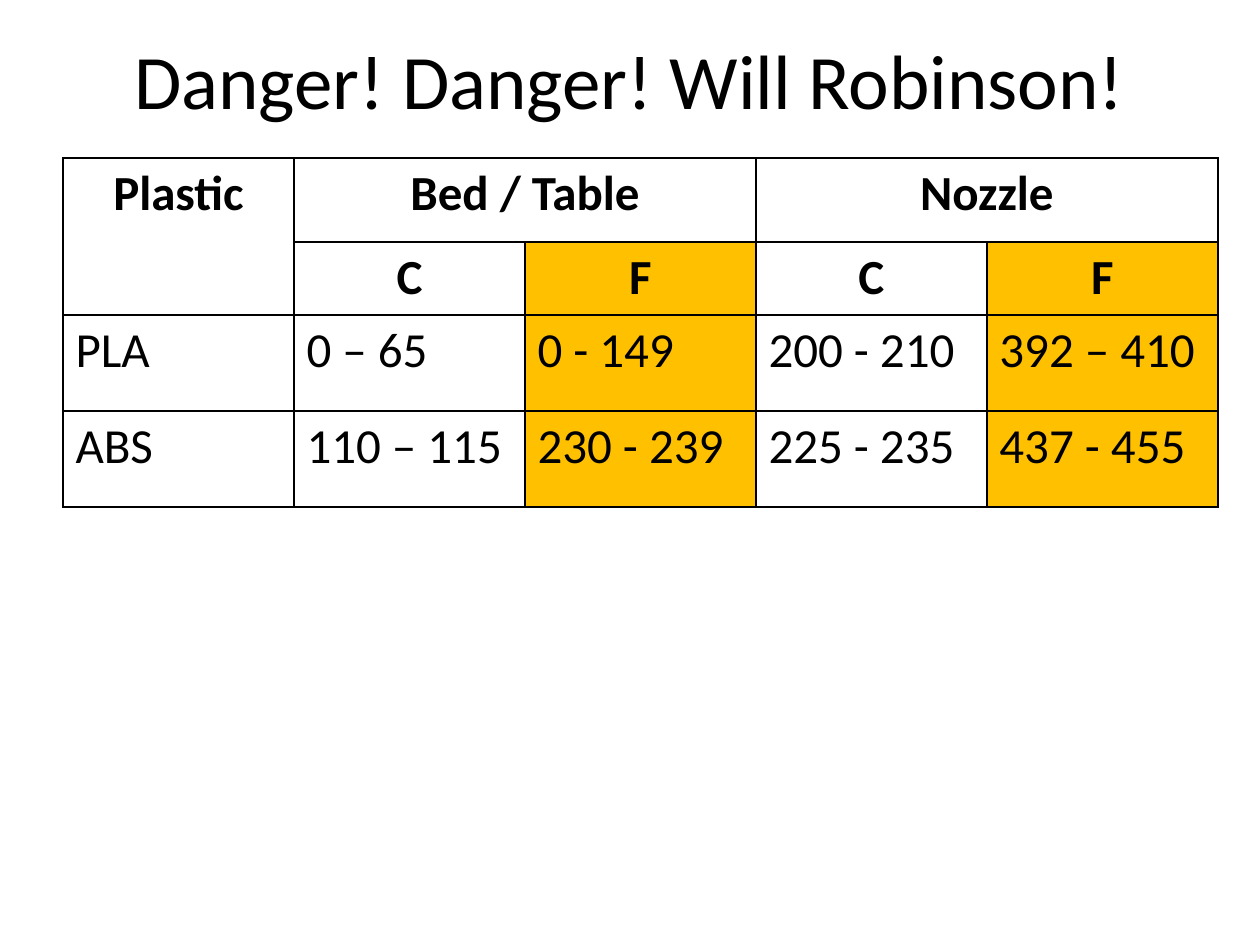
from lxml.etree import SubElement
from pptx import Presentation
from pptx.dml.color import RGBColor
from pptx.enum.text import MSO_ANCHOR as Anchor, PP_ALIGN as Align
from pptx.oxml import parse_xml
from pptx.oxml.ns import nsdecls
from pptx.util import Pt

PX = 914400 // 126
BLACK, AMBER = "000000", "FFC000"
COLUMN_WIDTH = 231
ROW_HEIGHTS = [84, 73, 96, 96]


def color(value):
    return RGBColor.from_string(value)


def write(frame, text, size=28, bold=False, align=Align.LEFT):
    paragraph = frame.paragraphs[0]
    paragraph.alignment = align
    run = paragraph.add_run()
    run.text = text
    run.font.name = "Calibri"
    run.font.size = Pt(size)
    run.font.bold = bold
    run.font.color.rgb = color(BLACK)


prs = Presentation()
prs.slide_width, prs.slide_height = 1260 * PX, 945 * PX
slide = prs.slides.add_slide(prs.slide_layouts[6])

title = slide.shapes.add_textbox(63 * PX, 0, 1134 * PX, 158 * PX).text_frame
title.word_wrap = True
title.vertical_anchor = Anchor.MIDDLE
write(title, "Danger! Danger! Will Robinson!", size=44, align=Align.CENTER)

temperatures = [
    ["Plastic", "Bed / Table", "", "Nozzle", ""],
    ["", "C", "F", "C", "F"],
    ["PLA", "0 – 65", "0 - 149", "200 - 210", "392 – 410"],
    ["ABS", "110 – 115", "230 - 239", "225 - 235", "437 - 455"],
]
grid = slide.shapes.add_table(
    len(temperatures), 5, 63 * PX, 158 * PX, 5 * COLUMN_WIDTH * PX, sum(ROW_HEIGHTS) * PX
).table
grid.first_row = grid.horz_banding = False
for column in grid.columns:
    column.width = COLUMN_WIDTH * PX
for row, height in zip(grid.rows, ROW_HEIGHTS):
    row.height = height * PX

for r, values in enumerate(temperatures):
    for c, value in enumerate(values):
        cell = grid.cell(r, c)
        header = r < 2
        if value:
            write(cell.text_frame, value, bold=header, align=Align.CENTER if header else Align.LEFT)
        properties = cell._tc.get_or_add_tcPr()
        for side in ("lnL", "lnR", "lnT", "lnB"):
            properties.append(parse_xml(
                f'<a:{side} {nsdecls("a")} w="12700"><a:solidFill>'
                f'<a:srgbClr val="{BLACK}"/></a:solidFill></a:{side}>'
            ))
        if r > 0 and c in (2, 4):
            cell.fill.solid()
            cell.fill.fore_color.rgb = color(AMBER)
        else:
            cell.fill.background()

for first, last in [((0, 0), (1, 0)), ((0, 1), (0, 2)), ((0, 3), (0, 4))]:
    grid.cell(*first).merge(grid.cell(*last))

prs.save("out.pptx")
